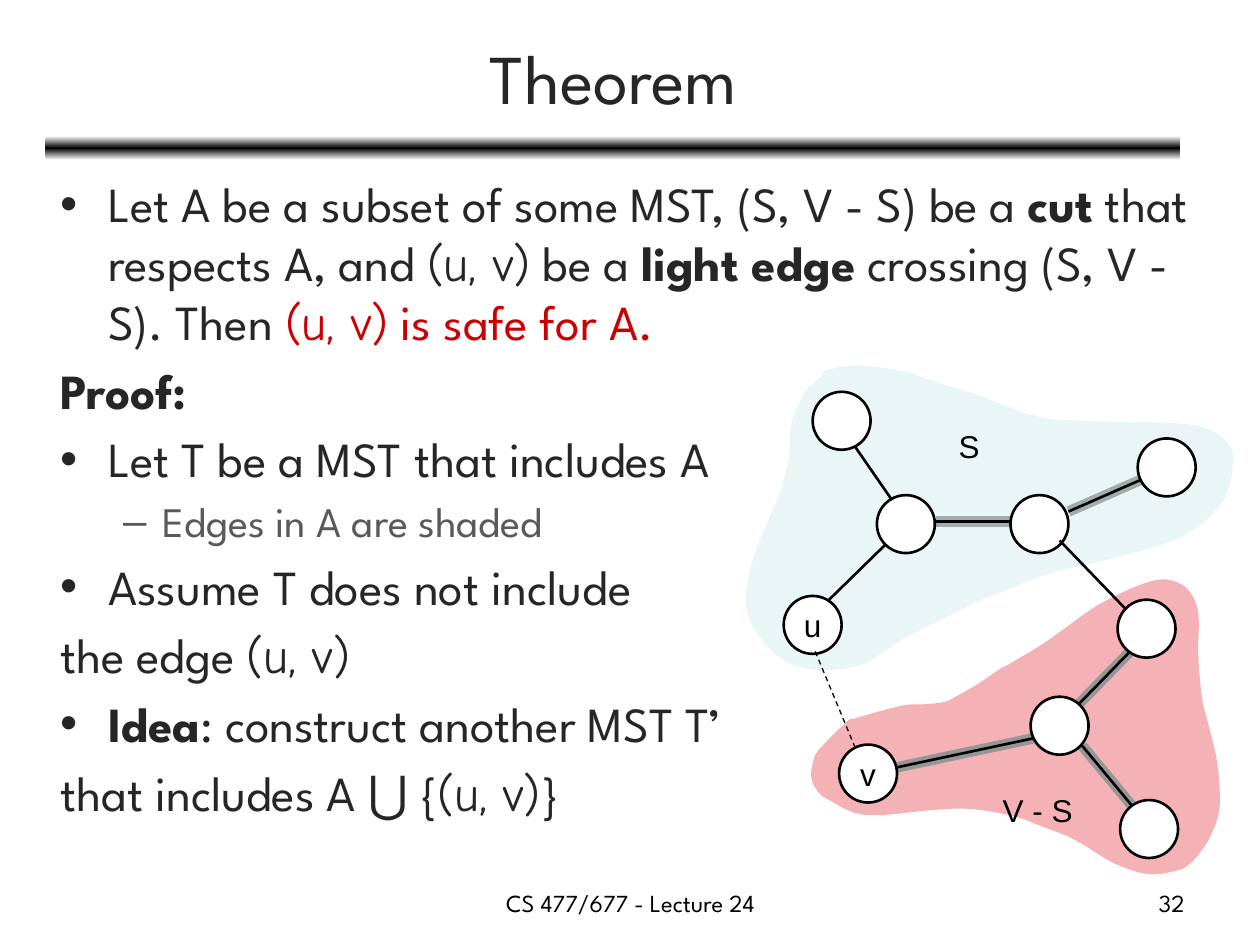
from lxml import etree
from pptx import Presentation
from pptx.dml.color import RGBColor
from pptx.enum.dml import MSO_LINE
from pptx.enum.shapes import MSO_CONNECTOR, MSO_SHAPE as Shape
from pptx.enum.text import MSO_ANCHOR as Anchor, PP_ALIGN as Align
from pptx.oxml.ns import qn
from pptx.util import Inches, Pt

HEX = {"text": "262626", "sub": "595959", "red": "CC0000", "black": "000000",
       "white": "FFFFFF", "shade": "969696", "teal": "BBE0E3", "pink": "DD0111"}
MAIN, HAND, PLAIN = "League Spartan", "Comic Neue", "Arial"

# Paragraphs: (bullet, level, runs); a run is (text, marks):
# b bold, h handwritten font, r red
BODY = [
    ("•", 0, [("Let A be a subset of some MST, (S, V - S) be a ", ""), ("cut", "b"),
              (" that respects A, and ", ""), ("(u, v)", "h"), (" be a ", ""),
              ("light edge", "b"), (" crossing (S, V - S). Then ", ""),
              ("(u, v)", "hr"), (" is safe for A.", "r")]),
    ("", 0, [("Proof:", "b")]),
    ("•", 0, [("Let T be a MST that includes A", "")]),
    ("–", 1, [("Edges in A are shaded", "")]),
    ("•", 0, [("Assume T does not include", "")]),
    ("", 0, [("the edge ", ""), ("(u, v)", "h")]),
    ("•", 0, [("Idea", "b"), (": construct another MST T’", "")]),
    ("", 0, [("that includes A ⋃ {", ""), ("(u, v)", "h"), ("}", "")]),
]
LEVELS = [(28, "text", 0.38, -0.38), (24, "sub", 0.81, -0.31)]

# Outlines of the two sides of the cut
SIDE_S = [
    (6.52, 2.99), (6.41, 3.08), (6.31, 3.27), (6.27, 3.43), (6.26, 3.64),
    (6.19, 3.91), (6.11, 4.1), (6.01, 4.34), (5.94, 4.58), (5.92, 4.8),
    (5.99, 5), (6.16, 5.2), (6.34, 5.29), (6.55, 5.32), (6.82, 5.28),
    (6.96, 5.21), (7.17, 5.07), (7.4, 4.95), (7.61, 4.85), (7.79, 4.76),
    (8.05, 4.66), (8.14, 4.62), (8.37, 4.54), (8.62, 4.48), (8.76, 4.45),
    (9.06, 4.37), (9.34, 4.28), (9.52, 4.17), (9.63, 4.07), (9.73, 3.93),
    (9.78, 3.74), (9.77, 3.55), (9.6, 3.41), (9.35, 3.36), (8.92, 3.35),
    (8.39, 3.33), (8.18, 3.29), (8.03, 3.24), (7.85, 3.17), (7.75, 3.13),
    (7.42, 3.03), (7.18, 2.95), (6.81, 2.9), (6.56, 2.94)]
SIDE_V = [
    (7.5, 5.57), (7.33, 5.59), (7.16, 5.6), (6.79, 5.7), (6.72, 5.73),
    (6.5, 5.95), (6.45, 6.06), (6.44, 6.18), (6.49, 6.28), (6.58, 6.35),
    (6.87, 6.47), (7.39, 6.43), (7.7, 6.42), (8.05, 6.48), (8.27, 6.56),
    (8.52, 6.66), (8.8, 6.83), (8.99, 6.91), (9.15, 6.94), (9.34, 6.91),
    (9.44, 6.86), (9.53, 6.76), (9.61, 6.63), (9.68, 6.41), (9.66, 6.05),
    (9.58, 5.71), (9.54, 5.54), (9.51, 5.2), (9.51, 4.86), (9.42, 4.67),
    (9.26, 4.6), (9.08, 4.63), (8.83, 4.74), (8.64, 4.85), (8.42, 5.01),
    (8.23, 5.14), (8.01, 5.27), (7.92, 5.32), (7.76, 5.43), (7.6, 5.52)]

NODE = 0.46
NODES = [(6.22, 4.73, "u"), (6.96, 3.93, ""), (8.02, 3.93, ""), (9.03, 3.48, ""),
         (8.87, 4.76, ""), (6.45, 3.11, ""), (8.18, 5.53, ""), (8.89, 6.35, ""),
         (6.66, 5.91, "v")]
IN_A = [(7.43, 4.14, 8.02, 4.14), (8.48, 4.06, 9.05, 3.81), (7.12, 6.09, 8.2, 5.86),
        (8.57, 5.58, 8.97, 5.17), (8.59, 5.92, 8.98, 6.39)]
OTHER = [(6.57, 4.77, 7.03, 4.32), (6.79, 3.55, 7.08, 3.97), (8.41, 4.29, 8.94, 4.84)]
LIGHT = (6.47, 5.17, 6.79, 5.94)
LABELS = [(7.51, 3.34, 0.37, 0.4, "S"), (7.86, 6.23, 0.76, 0.4, "V - S")]
FOOT = [(3.42, 7, 3.17, 0.35, "CS 477/677 - Lecture 24", Align.CENTER),
        (7.17, 7, 2.33, 0.35, "32", Align.RIGHT)]


def rgb(name):
    return RGBColor.from_string(HEX[name])


def style(font, size, face, color):
    font.size, font.name = Pt(size), face
    font.color.rgb = rgb(color)


def write(frame, text, size, face, align=Align.LEFT, color="black"):
    para = frame.paragraphs[0]
    para.text, para.alignment = text, align
    style(para.font, size, face, color)


def add_box(shapes, x, y, w, h, wrap=True):
    frame = shapes.add_textbox(*map(Inches, (x, y, w, h))).text_frame
    frame.word_wrap = wrap
    return frame


def add_bar(shapes):
    bar = shapes.add_shape(Shape.ROUNDED_RECTANGLE, *map(Inches, (0.36, 1.08, 9.01, 0.19)))
    bar.shadow.inherit = False
    bar.line.fill.background()
    bar.fill.gradient()
    bar.fill.gradient_angle = 90
    stops = bar._element.spPr.find(".//" + qn("a:gsLst"))
    for old in list(stops):
        stops.remove(old)
    for pos, name in ((0, "white"), (50, "black"), (100, "white")):
        stop = etree.SubElement(stops, qn("a:gs"), pos=str(pos * 1000))
        etree.SubElement(stop, qn("a:srgbClr"), val=HEX[name])


def smooth(points, steps=4):
    """Sample a closed Catmull-Rom curve through the points."""
    count = len(points)
    for i in range(count):
        near = [points[(i + k) % count] for k in (-1, 0, 1, 2)]
        for t in (s / steps for s in range(steps)):
            yield tuple((2 * b + (c - a) * t + (2 * a - 5 * b + 4 * c - d) * t ** 2
                         + (3 * b - a - 3 * c + d) * t ** 3) / 2
                        for a, b, c, d in zip(*near))


def add_side(shapes, points, color):
    first, *rest = [(Inches(x), Inches(y)) for x, y in smooth(points)]
    pen = shapes.build_freeform(*first)
    pen.add_line_segments(rest, close=True)
    side = pen.convert_to_shape()
    side.shadow.inherit = False
    side.line.fill.background()
    side.fill.solid()
    side.fill.fore_color.rgb = rgb(color)
    tint = side._element.spPr.find(".//" + qn("a:srgbClr"))
    etree.SubElement(tint, qn("a:alpha"), val="30000")


def add_edge(shapes, ends, color="black", width=1.5):
    edge = shapes.add_connector(MSO_CONNECTOR.STRAIGHT, *map(Inches, ends))
    edge.line.color.rgb = rgb(color)
    edge.line.width = Pt(width)
    etree.SubElement(edge._element.spPr, qn("a:effectLst"))
    return edge


def add_node(shapes, x, y, text):
    node = shapes.add_shape(Shape.OVAL, *map(Inches, (x, y, NODE, NODE)))
    node.shadow.inherit = False
    node.fill.solid()
    node.fill.fore_color.rgb = rgb("white")
    node.line.color.rgb = rgb("black")
    node.line.width = Pt(1.5)
    if text:
        frame = node.text_frame
        frame.word_wrap, frame.vertical_anchor = False, Anchor.MIDDLE
        write(frame, text, 18, PLAIN, Align.CENTER)


def add_body(shapes):
    frame = add_box(shapes, 0.38, 1.33, 9.23, 5.55)
    for i, (bullet, level, runs) in enumerate(BODY):
        para = frame.add_paragraph() if i else frame.paragraphs[0]
        size, color, left, indent = LEVELS[level]
        para.level = level
        para.space_before = Pt(size * 0.2 if i else 0)
        props = para._p.get_or_add_pPr()
        props.set("marL", str(Inches(left)))
        props.set("indent", str(Inches(indent)))
        if bullet:
            etree.SubElement(props, qn("a:buFont"), typeface=PLAIN)
            etree.SubElement(props, qn("a:buChar"), char=bullet)
        else:
            etree.SubElement(props, qn("a:buNone"))
        style(para.font, size, MAIN, color)
        for text, marks in runs:
            run = para.add_run()
            run.text = text
            style(run.font, size, HAND if "h" in marks else MAIN,
                  "red" if "r" in marks else color)
            run.font.bold = "b" in marks


def main():
    deck = Presentation()
    deck.slide_width, deck.slide_height = Inches(10), Inches(7.5)
    slide = deck.slides.add_slide(deck.slide_layouts[5])
    shapes = slide.shapes
    title = shapes.title
    title.left, title.top, title.width, title.height = map(Inches, (0.37, 0.11, 9, 0.99))
    title.text_frame.vertical_anchor = Anchor.MIDDLE
    write(title.text_frame, "Theorem", 40, MAIN, Align.CENTER, "text")
    add_bar(shapes)
    add_body(shapes)

    add_side(shapes, SIDE_V, "pink")
    for ends in IN_A:
        add_edge(shapes, ends, "shade", 6)
    add_side(shapes, SIDE_S, "teal")
    for node in NODES:
        add_node(shapes, *node)
    for ends in IN_A + OTHER:
        add_edge(shapes, ends)
    add_edge(shapes, LIGHT, width=0.75).line.dash_style = MSO_LINE.DASH

    for *place, text in LABELS:
        write(add_box(shapes, *place, wrap=False), text, 18, PLAIN)
    for *place, text, align in FOOT:
        write(add_box(shapes, *place), text, 14, MAIN, align)
    deck.save("out.pptx")


if __name__ == "__main__":
    main()
